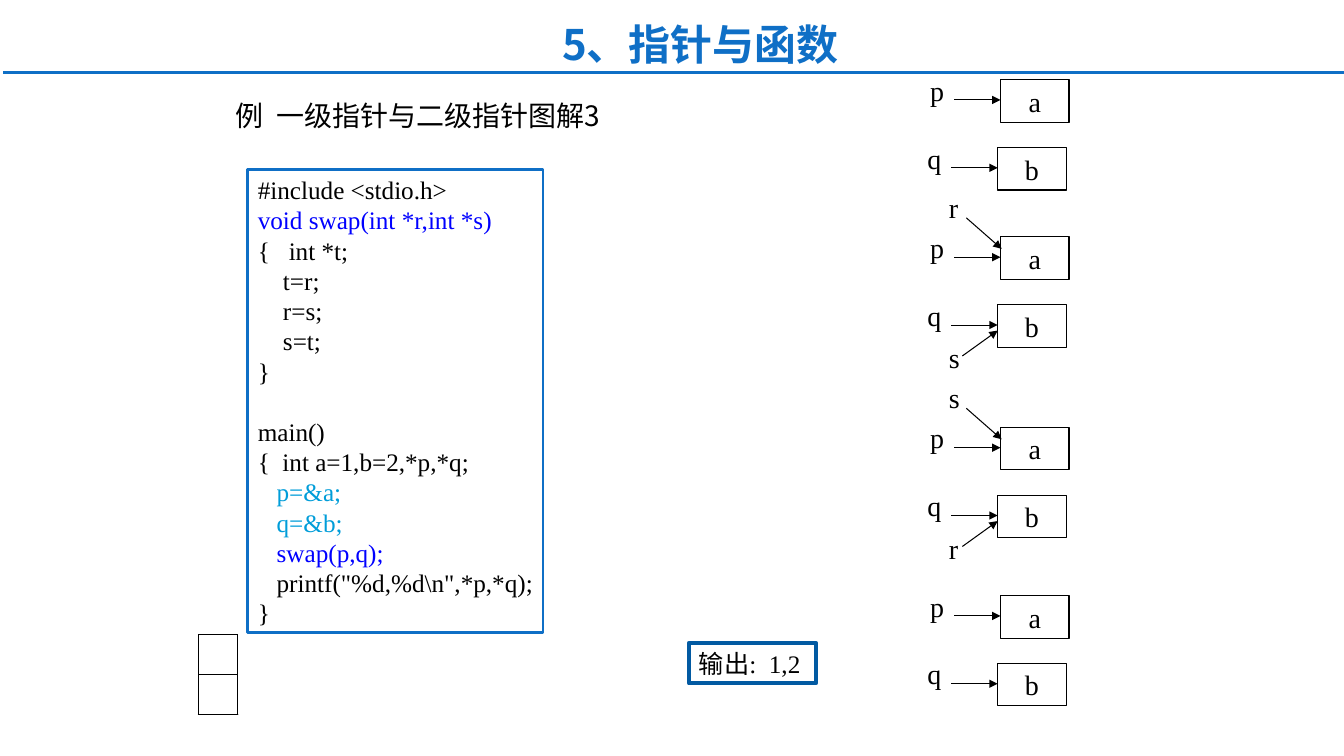
from lxml import etree
from pptx import Presentation, util as u
from pptx.dml.color import RGBColor
from pptx.enum import shapes, text
from pptx.oxml.ns import qn

SERIF, SANS = "Times New Roman", "Noto Sans CJK SC"
BLACK, WHITE, BLUE, NAVY = "000000", "FFFFFF", "0F6FC6", "025AA2"
KEYWORD, CYAN = "0000FF", "009DD9"
LEFT, CENTER = text.PP_ALIGN.LEFT, text.PP_ALIGN.CENTER
TOP, MIDDLE, BOTTOM = (text.MSO_ANCHOR.TOP, text.MSO_ANCHOR.MIDDLE,
                       text.MSO_ANCHOR.BOTTOM)

HEADING = "5、指针与函数"
EXAMPLE = "例  一级指针与二级指针图解3"
OUTPUT = "输出:  1,2"
CODE = [
    ("#include <stdio.h>", BLACK),
    ("void swap(int *r,int *s)", KEYWORD),
    ("{   int *t;", BLACK),
    ("    t=r;", BLACK),
    ("    r=s;", BLACK),
    ("    s=t;", BLACK),
    ("}", BLACK),
    ("main()", BLACK),
    ("{  int a=1,b=2,*p,*q;", BLACK),
    ("   p=&a;", CYAN),
    ("   q=&b;", CYAN),
    ("   swap(p,q);", KEYWORD),
    (r'   printf("%d,%d\n",*p,*q);', BLACK),
    ("}", BLACK),
]
CODE_PITCH = 21.6  # points per line

# Top of variable a in cm, then the extra pointers to a and to b
STATES = [(2.01, "", ""), (5.97, "r", "s"), (10.77, "s", "r"), (15.01, "", "")]
# Pointer, variable, shift right and down in cm
ROWS = [("p", "a", 0, 0), ("q", "b", -0.07, 1.71)]
BOX_LEFT, BOX_WIDTH, BOX_HEIGHT = 25.22, 1.73, 1.07

# Page icon: outer frame, inner frame, sheet
ICON_OUTER = [(4.93, 16.46), (6.4, 16.46), (6.4, 18.21), (4.93, 18.21)]
ICON_INNER = [(5.03, 16.56), (6.3, 16.56), (6.3, 18.11), (5.03, 18.11)]
ICON_SHEET = [(5.28, 16.87), (5.77, 16.87), (6.05, 17.1), (6.05, 17.8), (5.28, 17.8)]
ICON_FOLD = [(5.77, 16.87), (6.05, 17.1), (5.77, 17.1)]


def rgb(value):
    return RGBColor.from_string(value)


def format_runs(paragraph, size, color, font=SERIF, bold=False):
    for run in paragraph.runs:
        run.font.size, run.font.name, run.font.bold = u.Pt(size), font, bold
        run.font.color.rgb = rgb(color)
        east_asian = etree.SubElement(run._r.get_or_add_rPr(), qn("a:ea"))
        east_asian.set("typeface", SANS)


def write(shape, content, size, color=BLACK, font=SERIF, bold=False,
          align=LEFT, anchor=TOP, wrap=False):
    frame = shape.text_frame
    frame.text = content
    frame.word_wrap = wrap
    frame.auto_size = text.MSO_AUTO_SIZE.NONE
    frame.vertical_anchor = anchor
    frame.paragraphs[0].alignment = align
    format_runs(frame.paragraphs[0], size, color, font, bold)


def outline(shape, color, width, fill=None):
    shape.shadow.inherit = False
    shape.line.color.rgb, shape.line.width = rgb(color), u.Pt(width)
    if fill:
        shape.fill.solid()
        shape.fill.fore_color.rgb = rgb(fill)
    else:
        shape.fill.background()


def add_box(left, top, width, height, color, line_width, fill=None):
    box = slide.shapes.add_shape(shapes.MSO_SHAPE.RECTANGLE, u.Cm(left),
                                 u.Cm(top), u.Cm(width), u.Cm(height))
    outline(box, color, line_width, fill)
    return box


def add_label(content, left, top, width=0.86):
    label = slide.shapes.add_textbox(u.Cm(left), u.Cm(top), u.Cm(width), u.Cm(1.12))
    write(label, content, 20)


def add_line(x1, y1, x2, y2, color=BLACK, width=0.75, arrow=True):
    line = slide.shapes.add_connector(shapes.MSO_CONNECTOR.STRAIGHT,
                                      u.Cm(x1), u.Cm(y1), u.Cm(x2), u.Cm(y2))
    line.line.color.rgb, line.line.width = rgb(color), u.Pt(width)
    if arrow:
        etree.SubElement(line.line._get_or_add_ln(), qn("a:tailEnd"), type="triangle")
    etree.SubElement(line._element.spPr, qn("a:effectLst"))


def add_code():
    box = add_box(6.25, 4.27, 7.44, 11.68, BLUE, 2, WHITE)
    frame = box.text_frame
    frame.word_wrap = False
    frame.vertical_anchor = MIDDLE
    for index, (content, color) in enumerate(CODE):
        paragraph = frame.add_paragraph() if index else frame.paragraphs[0]
        paragraph.text = content
        paragraph.alignment = LEFT
        paragraph.line_spacing = u.Pt(CODE_PITCH)
        if content == "main()":
            paragraph.space_before = u.Pt(CODE_PITCH)
        format_runs(paragraph, 18, color)


def add_state(top, extra_to_a, extra_to_b):
    """Draw p -> a and q -> b, with any further pointers above and below."""
    for pointer, variable, right, down in ROWS:
        left, y = BOX_LEFT + right, top + down
        box = add_box(left, y, BOX_WIDTH, BOX_HEIGHT, BLACK, 0.75)
        write(box, variable, 20, align=CENTER, anchor=MIDDLE)
        add_label(pointer, left - 2.02, y - 0.29)
        add_line(left - 1.17, y + 0.51, left, y + 0.51)
    if extra_to_a:
        add_label(extra_to_a, 23.67, top - 1.3, 0.76)
        add_line(24.36, top - 0.48, 25.25, top + 0.3)
    if extra_to_b:
        add_label(extra_to_b, 23.67, top + 2.49, 0.76)
        add_line(24.26, top + 3, 25.15, top + 2.36)


def add_icon():
    bevels = []
    for i in range(4):
        j = (i + 1) % 4
        bevels.append([ICON_OUTER[i], ICON_OUTER[j], ICON_INNER[j], ICON_INNER[i]])
    contours = [ICON_OUTER, *bevels, ICON_SHEET, ICON_FOLD]
    builder = slide.shapes.build_freeform(*ICON_OUTER[0], scale=u.Cm(1))
    for contour in contours:
        builder.move_to(*contour[0])
        builder.add_line_segments(contour[1:], close=True)
    outline(builder.convert_to_shape(), BLACK, 0.75, WHITE)


presentation = Presentation()
presentation.slide_width, presentation.slide_height = u.Cm(33.88), u.Cm(19.05)
slide = presentation.slides.add_slide(presentation.slide_layouts[5])

title = slide.shapes.title
title.left, title.top, title.width, title.height = (
    u.Cm(5.69), u.Cm(2.24), u.Cm(21.59), u.Cm(1.24))
write(title, EXAMPLE, 20, font=SANS, anchor=BOTTOM, wrap=True)
title.text_frame.paragraphs[0].line_spacing = 0.9

add_line(0.08, 1.83, 33.88, 1.83, BLUE, 2.25, arrow=False)
heading = slide.shapes.add_textbox(u.Cm(3.12), u.Cm(0.33), u.Cm(29.08), u.Cm(1.52))
write(heading, HEADING, 30, BLUE, SANS, True, CENTER, wrap=True)

add_icon()
add_code()
for state in STATES:
    add_state(*state)
write(add_box(17.37, 16.2, 3.2, 1.02, NAVY, 3), OUTPUT, 18, anchor=MIDDLE)

presentation.save("out.pptx")
